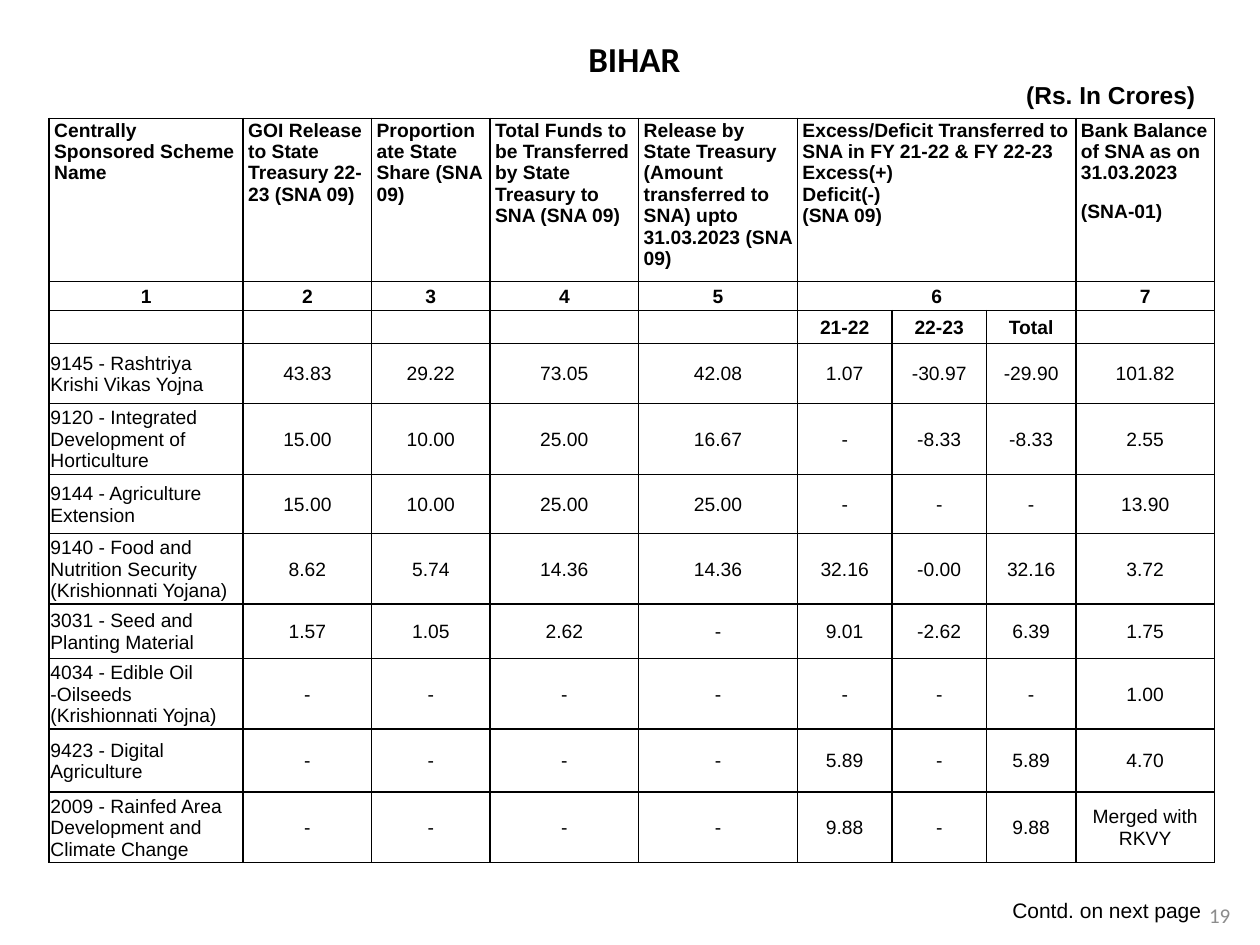
"""Build the Bihar slide of scheme funds, state share and bank balance."""
import lxml.etree
import pptx
import pptx.dml.color
import pptx.enum.text
import pptx.oxml.ns
import pptx.util

inch, point = pptx.util.Inches, pptx.util.Pt
align, anchor = pptx.enum.text.PP_ALIGN, pptx.enum.text.MSO_ANCHOR
tag = pptx.oxml.ns.qn
hues = {"ink": "000000", "grey": "8C8C8C", "paper": "FFFFFF"}


def write(frame, text, size=11, font="Arial", hue="ink", bold=False,
          side=align.CENTER, after=0, lead=None, more=False):
    for num, line in enumerate(text.split("\n")):
        para = frame.add_paragraph() if num or more else frame.paragraphs[0]
        para.alignment = side
        para.space_after = point(after)
        if lead:
            para.line_spacing = lead
        if not line:
            lxml.etree.SubElement(para._p, tag("a:endParaRPr"), sz=str(size * 100))
            continue
        run = para.add_run()
        run.text = line
        run.font.size, run.font.name, run.font.bold = point(size), font, bold
        run.font.color.rgb = pptx.dml.color.RGBColor.from_string(hues[hue])


def border(cell):
    props = cell._tc.get_or_add_tcPr()
    for spot, edge in enumerate(("lnL", "lnR", "lnT", "lnB")):
        line = lxml.etree.Element(tag("a:" + edge), w=str(point(1)))
        fill = lxml.etree.SubElement(line, tag("a:solidFill"))
        lxml.etree.SubElement(fill, tag("a:srgbClr"), val=hues["ink"])
        props.insert(spot, line)


deck = pptx.Presentation()
deck.slide_width, deck.slide_height = inch(10), inch(7.5)
slide = deck.slides.add_slide(deck.slide_layouts[6])

title = slide.shapes.add_textbox(inch(0.43), inch(0.25), inch(9.21), inch(0.67)).text_frame
title.word_wrap = True
write(title, "BIHAR", size=20, font="Calibri", bold=True)
write(title, "(Rs. In Crores) ", size=14, bold=True, side=align.RIGHT, more=True)

heads = [
    "Centrally Sponsored Scheme Name",
    "GOI Release to State Treasury 22-23 (SNA 09)",
    "Proportionate State Share (SNA 09)",
    "Total Funds to be Transferred by State Treasury to SNA (SNA 09)",
    "Release by State Treasury (Amount transferred to SNA) upto 31.03.2023 (SNA 09)",
    "Excess/Deficit Transferred to SNA in FY 21-22 & FY 22-23\nExcess(+)\nDeficit(-)\n(SNA 09)",
    "", "",
    "Bank Balance of SNA as on 31.03.2023\n(SNA-01)",
]
rows = [
    heads,
    ["1", "2", "3", "4", "5", "6", "", "", "7"],
    ["", "", "", "", "", "21-22", "22-23", "Total", ""],
    ["9145 - Rashtriya Krishi Vikas Yojna", "43.83", "29.22", "73.05", "42.08",
     "1.07", "-30.97", "-29.90", "101.82"],
    ["9120 - Integrated Development of Horticulture", "15.00", "10.00", "25.00", "16.67",
     "-", "-8.33", "-8.33", "2.55"],
    ["9144 - Agriculture Extension", "15.00", "10.00", "25.00", "25.00",
     "-", "-", "-", "13.90"],
    ["9140 - Food and Nutrition Security (Krishionnati Yojana)", "8.62", "5.74", "14.36",
     "14.36", "32.16", "-0.00", "32.16", "3.72"],
    ["3031 - Seed and Planting Material", "1.57", "1.05", "2.62", "-",
     "9.01", "-2.62", "6.39", "1.75"],
    ["4034 - Edible Oil -Oilseeds (Krishionnati Yojna)", "-", "-", "-", "-",
     "-", "-", "-", "1.00"],
    ["9423 - Digital Agriculture", "-", "-", "-", "-", "5.89", "-", "5.89", "4.70"],
    ["2009 - Rainfed Area Development and Climate Change", "-", "-", "-", "-",
     "9.88", "-", "9.88", "Merged with RKVY"],
]
wides = [1.54, 1.02, 0.94, 1.18, 1.26, 0.75, 0.75, 0.71, 1.1]
highs = [1.29, 0.23, 0.26, 0.48, 0.56, 0.47, 0.56, 0.43, 0.56, 0.5, 0.56]
grid = slide.shapes.add_table(len(rows), len(wides), inch(0.39), inch(0.94),
                              inch(sum(wides)), inch(sum(highs))).table
for col, wide in zip(grid.columns, wides):
    col.width = inch(wide)
for row, high in zip(grid.rows, highs):
    row.height = inch(high)
for top in range(2):
    grid.cell(top, 5).merge(grid.cell(top, 7))

for down, row in enumerate(rows):
    for over, text in enumerate(row):
        cell = grid.cell(down, over)
        cell.fill.solid()
        cell.fill.fore_color.rgb = pptx.dml.color.RGBColor.from_string(hues["paper"])
        border(cell)
        cell.margin_left = cell.margin_right = inch(0.04 if down < 2 else 0.01)
        cell.margin_top, cell.margin_bottom = inch(0.01), 0
        cell.vertical_anchor = anchor.TOP if down < 2 else anchor.MIDDLE
        left = down == 0 or (over == 0 and down > 2)
        write(cell.text_frame, text, bold=down < 3,
              side=align.LEFT if left else align.CENTER,
              after=10 if down < 2 and not (down == 0 and over == 5) else 0,
              lead=1.15 if down == 1 else None)

notes = [("19", 9.48, 7.06, 0.4, 0.4, "Calibri", "grey"),
         ("Contd. on next page", 7.93, 7.07, 1.71, 0.3, "Arial", "ink")]
for text, left, top, wide, high, font, hue in notes:
    frame = slide.shapes.add_textbox(inch(left), inch(top), inch(wide), inch(high)).text_frame
    frame.word_wrap = False
    frame.vertical_anchor = anchor.MIDDLE
    write(frame, text, size=12, font=font, hue=hue)

deck.save("out.pptx")
